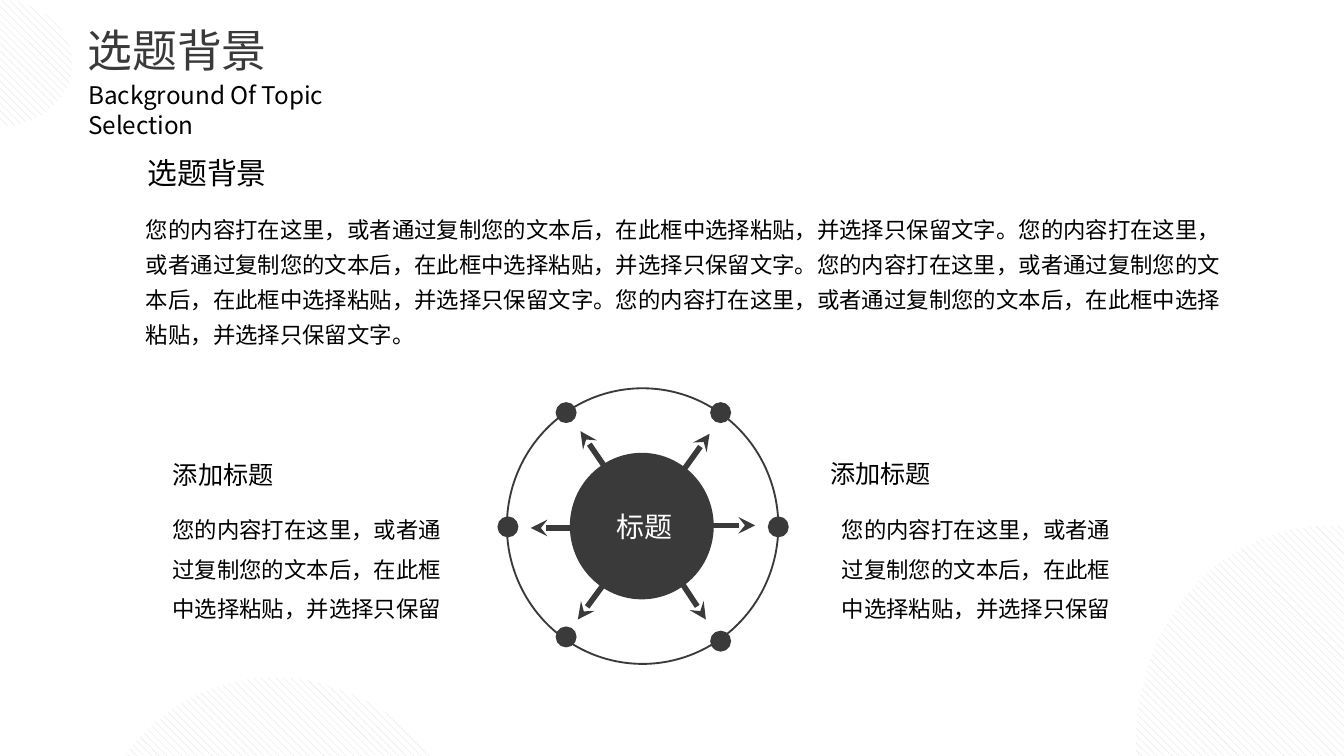
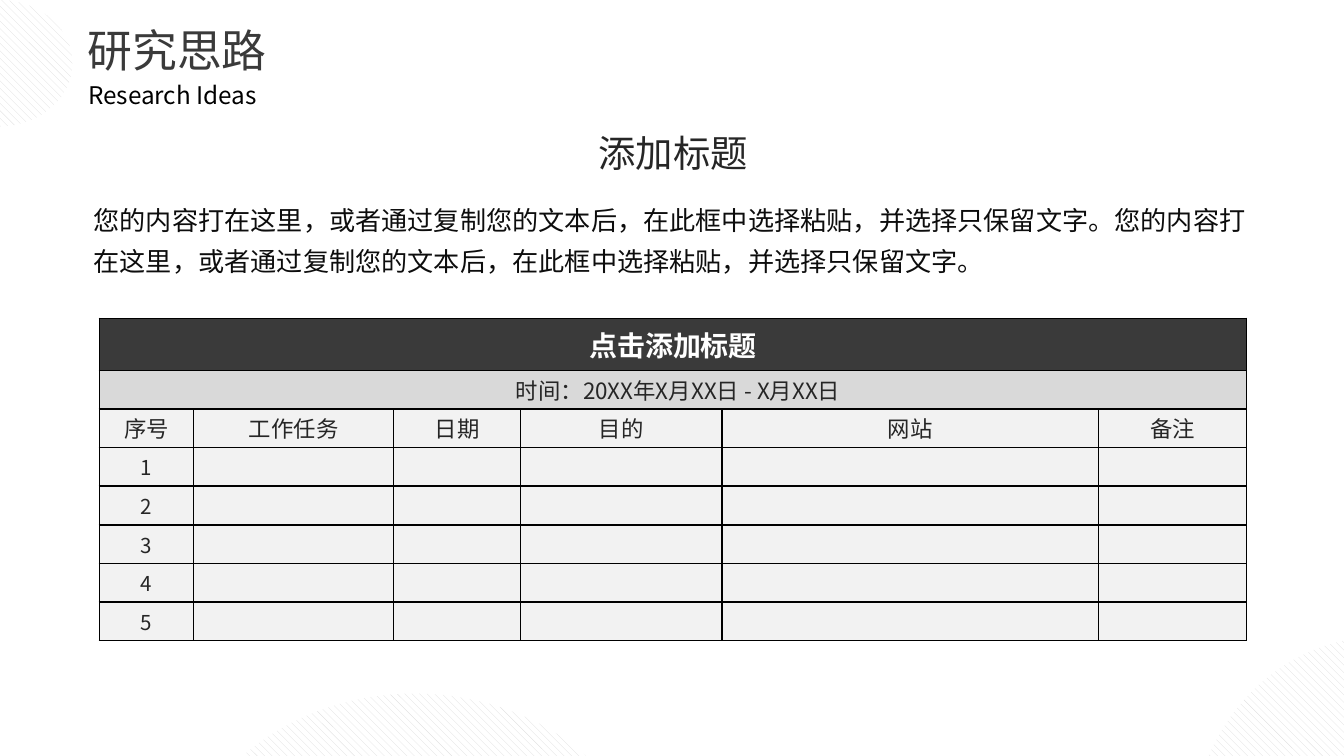
from dataclasses import dataclass

from lxml import etree
from pptx import Presentation
from pptx.dml.color import RGBColor
from pptx.enum.dml import MSO_PATTERN
from pptx.enum.shapes import MSO_CONNECTOR, MSO_SHAPE
from pptx.enum.text import MSO_ANCHOR, MSO_AUTO_SIZE, PP_ALIGN
from pptx.oxml.ns import qn
from pptx.shapes.autoshape import Shape
from pptx.slide import Slide
from pptx.table import _Cell
from pptx.text.text import TextFrame
from pptx.util import Cm, Pt

LEFT, CENTER, RIGHT = PP_ALIGN.LEFT, PP_ALIGN.CENTER, PP_ALIGN.RIGHT
TOP, MIDDLE = MSO_ANCHOR.TOP, MSO_ANCHOR.MIDDLE
NO_AUTOFIT = MSO_AUTO_SIZE.NONE
OVAL = MSO_SHAPE.OVAL
STRAIGHT = MSO_CONNECTOR.STRAIGHT
HATCH = MSO_PATTERN.WIDE_DOWNWARD_DIAGONAL

FONT = "Noto Sans CJK SC"
COLORS = {
    "dark": "3A3A3A",
    "black": "000000",
    "white": "FFFFFF",
    "heading": "262626",
    "body": "0D0D0D",
    "hatch": "DDDDDD",
    "period": "D9D9D9",
    "row": "F2F2F2",
}
SENTENCE = "您的内容打在这里，或者通过复制您的文本后，在此框中选择粘贴，并选择只保留文字。"
SIDE_TEXT = SENTENCE.removesuffix("文字。")


@dataclass(frozen=True)
class Box:
    left: float
    top: float
    width: float
    height: float

    def lengths(self) -> tuple[Cm, Cm, Cm, Cm]:
        return Cm(self.left), Cm(self.top), Cm(self.width), Cm(self.height)


@dataclass(frozen=True)
class Style:
    size: float
    color: str = "black"
    align: PP_ALIGN = LEFT
    spacing: float | Pt | None = None
    bold: bool = False


@dataclass(frozen=True)
class Label:
    text: str
    box: Box
    style: Style
    wrap: bool = False


@dataclass(frozen=True)
class Spoke:
    dot: tuple[float, float]
    start: tuple[float, float]
    tip: tuple[float, float]


@dataclass(frozen=True)
class Backdrop:
    left: float
    top: float
    rotation: float = 0


TITLE_BOX = Box(1.4, 0.3, 5.92, 1.3)
SUBTITLE_BOX = Box(1.42, 1.4, 6.86, 0.81)
CORNER_BOX = Box(-1.4, 0, 2.77, 2.39)
BACKDROP_SIZE = (9.07, 7.82)
TITLE_STYLE = Style(24, "dark")
SUBTITLE_STYLE = Style(13)
SIDE_TITLE_STYLE = Style(13.5)
SIDE_TEXT_STYLE = Style(12, align=RIGHT, spacing=Pt(21.1))

RING = Box(9.58, 7.34, 5.13, 5.21)
HUB = Box(10.77, 8.56, 2.72, 2.77)
DOT_SIZE = 0.36
SPOKES = [
    Spoke((13.62, 7.8), (12.17, 9.93), (13.41, 8.2)),
    Spoke((14.71, 9.96), (12.14, 9.93), (14.27, 9.93)),
    Spoke((10.7, 7.8), (12.17, 9.91), (10.97, 8.15)),
    Spoke((9.6, 9.96), (12.14, 9.98), (10.03, 9.98)),
    Spoke((10.7, 12.04), (12.17, 10.01), (10.92, 11.71)),
    Spoke((13.62, 12.12), (12.22, 10.01), (13.34, 11.71)),
]
BACKGROUND_LABELS = [
    Label(SENTENCE * 4, Box(2.51, 3.81, 20.84, 3.63), Style(12, spacing=1.3), True),
    Label("选题背景", Box(2.54, 2.79, 2.79, 0.94), Style(16)),
    Label("标题", Box(11.4, 9.5, 1.75, 0.89), Style(15, "white")),
    Label("添加标题", Box(15.44, 8.53, 2.44, 0.84), SIDE_TITLE_STYLE),
    Label(SIDE_TEXT, Box(15.52, 9.4, 5.72, 2.49), SIDE_TEXT_STYLE, True),
    Label("添加标题", Box(3.02, 8.56, 2.44, 0.84), SIDE_TITLE_STYLE),
    Label(SIDE_TEXT, Box(2.87, 9.4, 5.72, 2.41), SIDE_TEXT_STYLE, True),
]
IDEAS_LABELS = [
    Label("添加标题", Box(11.05, 2.34, 3.35, 1.12), Style(20, "heading", CENTER)),
    Label(SENTENCE * 2, Box(1.52, 3.56, 22.33, 1.73), Style(14, "body", spacing=1.3), True),
]

PLAN_BOX = Box(1.88, 6.02, 21.68, 6.09)
PLAN_COLUMNS = {"序号": 1.78, "工作任务": 3.78, "日期": 2.4, "目的": 3.8, "网站": 7.12, "备注": 2.8}
PLAN_TITLE = "点击添加标题"
PLAN_PERIOD = "时间：20XX年X月XX日 - X月XX日"
PLAN_ITEMS = 5
TITLE_ROW, ITEM_ROW = 0.98, 0.73


def rgb(name: str) -> RGBColor:
    return RGBColor.from_string(COLORS[name])


def write(frame: TextFrame, text: str, style: Style) -> None:
    paragraph = frame.paragraphs[0]
    if text:
        paragraph.text = text
    paragraph.alignment = style.align
    if style.spacing is not None:
        paragraph.line_spacing = style.spacing
    font = paragraph.font
    font.size = Pt(style.size)
    font.bold = style.bold
    font.color.rgb = rgb(style.color)
    font.name = FONT
    defaults = paragraph._p.pPr.find(qn("a:defRPr"))
    etree.SubElement(defaults, qn("a:ea"), typeface=FONT)
    if not text:
        etree.SubElement(paragraph._p, qn("a:endParaRPr"), sz=str(int(style.size * 100)))


def add_label(slide: Slide, label: Label) -> None:
    frame = slide.shapes.add_textbox(*label.box.lengths()).text_frame
    frame.word_wrap = label.wrap
    write(frame, label.text, label.style)


def add_oval(slide: Slide, box: Box) -> Shape:
    oval = slide.shapes.add_shape(OVAL, *box.lengths())
    oval.shadow.inherit = False
    return oval


def add_disc(slide: Slide, box: Box, filled: bool = True, outlined: bool = True) -> None:
    disc = add_oval(slide, box)
    if filled:
        disc.fill.solid()
        disc.fill.fore_color.rgb = rgb("dark")
    else:
        disc.fill.background()
    if outlined:
        disc.line.color.rgb = rgb("dark")
        disc.line.width = Pt(1)
    else:
        disc.line.fill.background()


def add_hatched(slide: Slide, box: Box, rotation: float = 0) -> None:
    oval = add_oval(slide, box)
    oval.rotation = rotation
    oval.fill.patterned()
    oval.fill.pattern = HATCH
    oval.fill.fore_color.rgb = rgb("hatch")
    oval.fill.back_color.rgb = rgb("white")
    oval.line.fill.background()


def add_arrow(slide: Slide, spoke: Spoke) -> None:
    ends = [Cm(value) for value in (*spoke.start, *spoke.tip)]
    arrow = slide.shapes.add_connector(STRAIGHT, *ends)
    arrow.line.color.rgb = rgb("dark")
    arrow.line.width = Pt(3)
    properties = arrow._element.spPr
    etree.SubElement(properties.find(qn("a:ln")), qn("a:tailEnd"), type="stealth")
    etree.SubElement(properties, qn("a:effectLst"))


def add_base(deck: Presentation, title: str, subtitle: str, backdrops: list[Backdrop]) -> Slide:
    slide = deck.slides.add_slide(deck.slide_layouts[5])
    for backdrop in backdrops:
        add_hatched(slide, Box(backdrop.left, backdrop.top, *BACKDROP_SIZE), backdrop.rotation)
    add_hatched(slide, CORNER_BOX)
    heading = slide.shapes.title
    heading.left, heading.top, heading.width, heading.height = TITLE_BOX.lengths()
    frame = heading.text_frame
    frame.auto_size = NO_AUTOFIT
    frame.word_wrap = True
    frame.vertical_anchor = TOP
    write(frame, title, TITLE_STYLE)
    add_label(slide, Label(subtitle, SUBTITLE_BOX, SUBTITLE_STYLE, True))
    return slide


def add_wheel(slide: Slide) -> None:
    add_disc(slide, RING, filled=False)
    for spoke in SPOKES:
        x, y = spoke.dot
        add_disc(slide, Box(x - DOT_SIZE / 2, y - DOT_SIZE / 2, DOT_SIZE, DOT_SIZE))
        add_arrow(slide, spoke)
    add_disc(slide, HUB, outlined=False)


def add_borders(cell: _Cell) -> None:
    properties = cell._tc.get_or_add_tcPr()
    for position, side in enumerate(("lnL", "lnR", "lnT", "lnB")):
        border = etree.Element(qn(f"a:{side}"), w=str(Pt(1)))
        fill = etree.SubElement(border, qn("a:solidFill"))
        etree.SubElement(fill, qn("a:srgbClr"), val=COLORS["black"])
        properties.insert(position, border)


def fill_cell(cell: _Cell, text: str, fill: str, style: Style) -> None:
    cell.margin_left = cell.margin_right = Cm(0.03)
    cell.margin_top = cell.margin_bottom = 0
    cell.vertical_anchor = MIDDLE
    cell.fill.solid()
    cell.fill.fore_color.rgb = rgb(fill)
    add_borders(cell)
    write(cell.text_frame, text, style)


def add_plan(slide: Slide) -> None:
    blanks = [""] * (len(PLAN_COLUMNS) - 1)
    header_style = Style(12, "heading", CENTER)
    item_style = Style(11, "heading", CENTER)
    rows = [
        ([PLAN_TITLE, *blanks], "dark", Style(15, "white", CENTER, bold=True)),
        ([PLAN_PERIOD, *blanks], "period", header_style),
        (list(PLAN_COLUMNS), "row", header_style),
    ]
    rows += [([str(n), *blanks], "row", item_style) for n in range(1, PLAN_ITEMS + 1)]
    plan = slide.shapes.add_table(len(rows), len(PLAN_COLUMNS), *PLAN_BOX.lengths()).table
    plan.first_row = plan.horz_banding = False
    for column, width in zip(plan.columns, PLAN_COLUMNS.values()):
        column.width = Cm(width)
    for r, (texts, fill, style) in enumerate(rows):
        plan.rows[r].height = Cm(ITEM_ROW if r else TITLE_ROW)
        for c, text in enumerate(texts):
            fill_cell(plan.cell(r, c), text, fill, style)
    for r in range(2):
        plan.cell(r, 0).merge(plan.cell(r, len(blanks)))
    plan.cell(1, 0).margin_left = Cm(0.22)


def main() -> None:
    deck = Presentation()
    deck.slide_width, deck.slide_height = Cm(25.4), Cm(14.29)

    background = add_base(
        deck,
        "选题背景",
        "Background Of Topic Selection",
        [Backdrop(0.94, 13.39, 75), Backdrop(20.88, 10.52, 75)],
    )
    add_wheel(background)
    for label in BACKGROUND_LABELS:
        add_label(background, label)

    ideas = add_base(
        deck,
        "研究思路",
        "Research Ideas",
        [Backdrop(21.87, 12.62, 75), Backdrop(3.3, 13.11)],
    )
    for label in IDEAS_LABELS:
        add_label(ideas, label)
    add_plan(ideas)

    deck.save("out.pptx")


if __name__ == "__main__":
    main()
